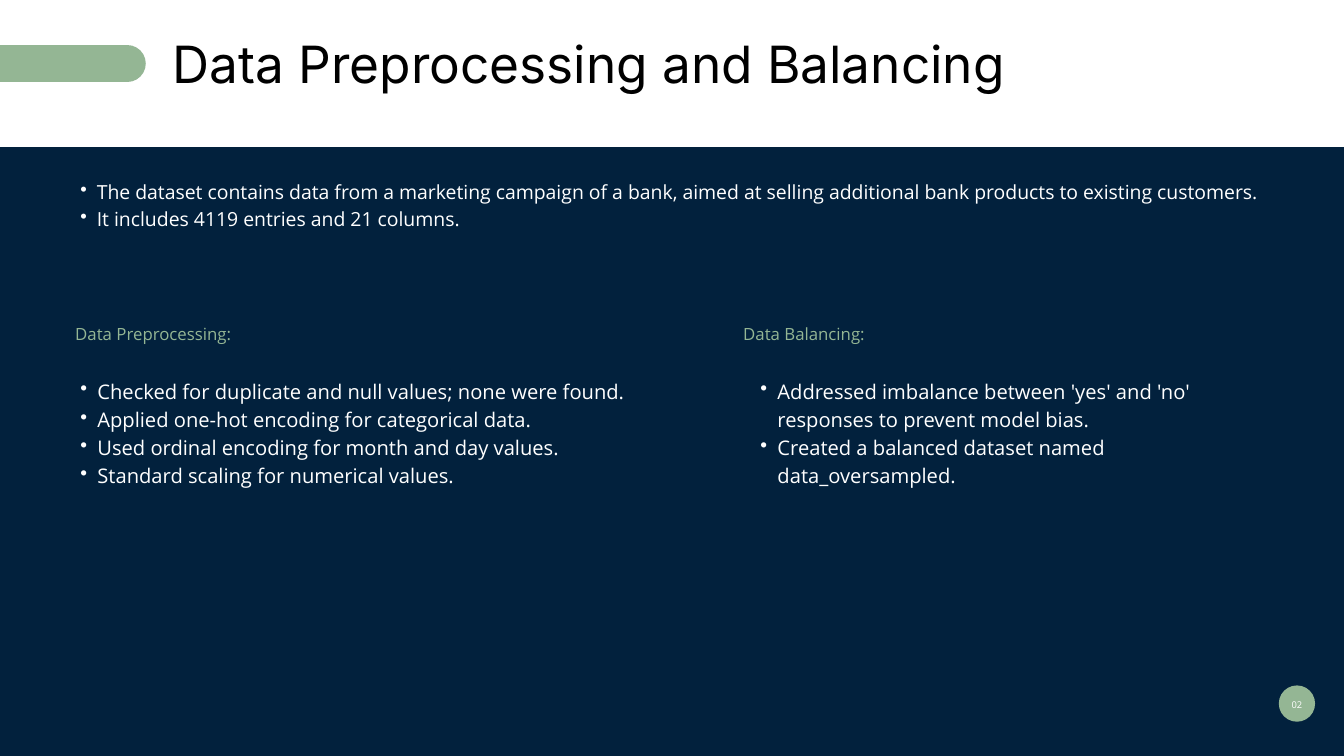
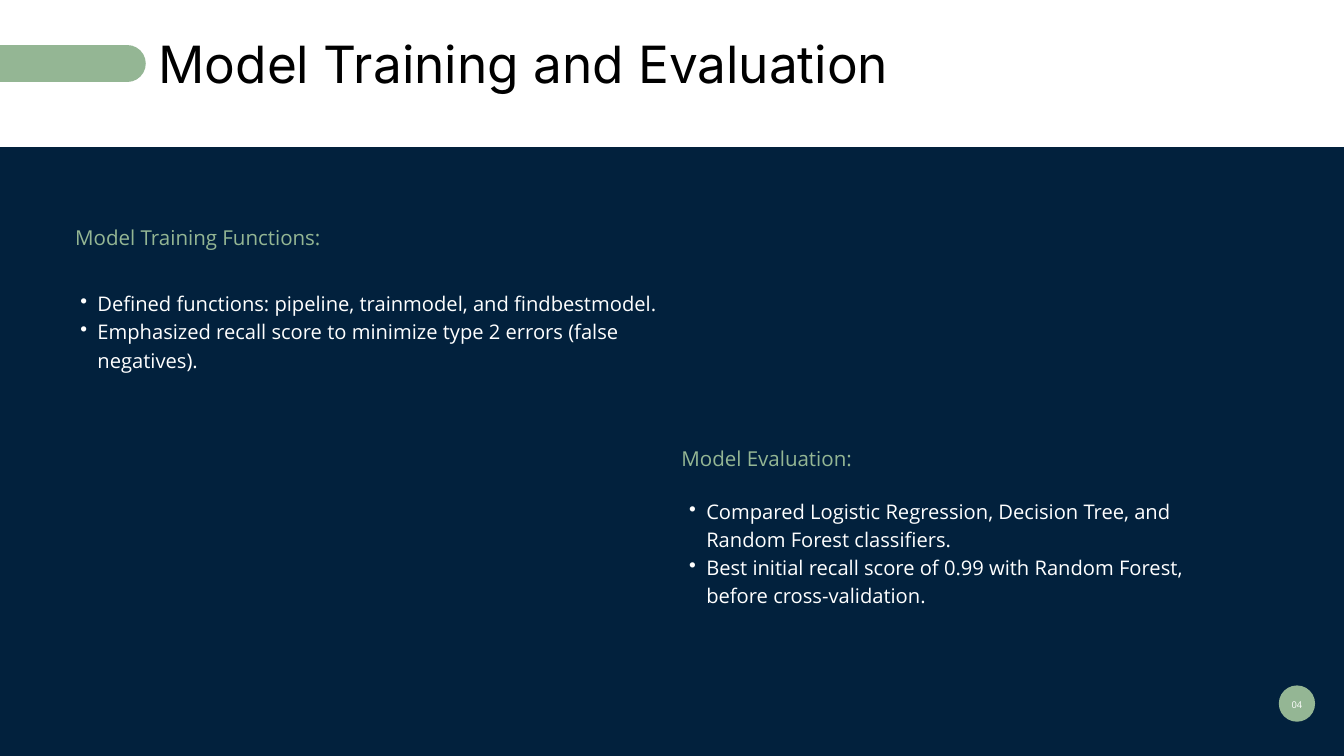
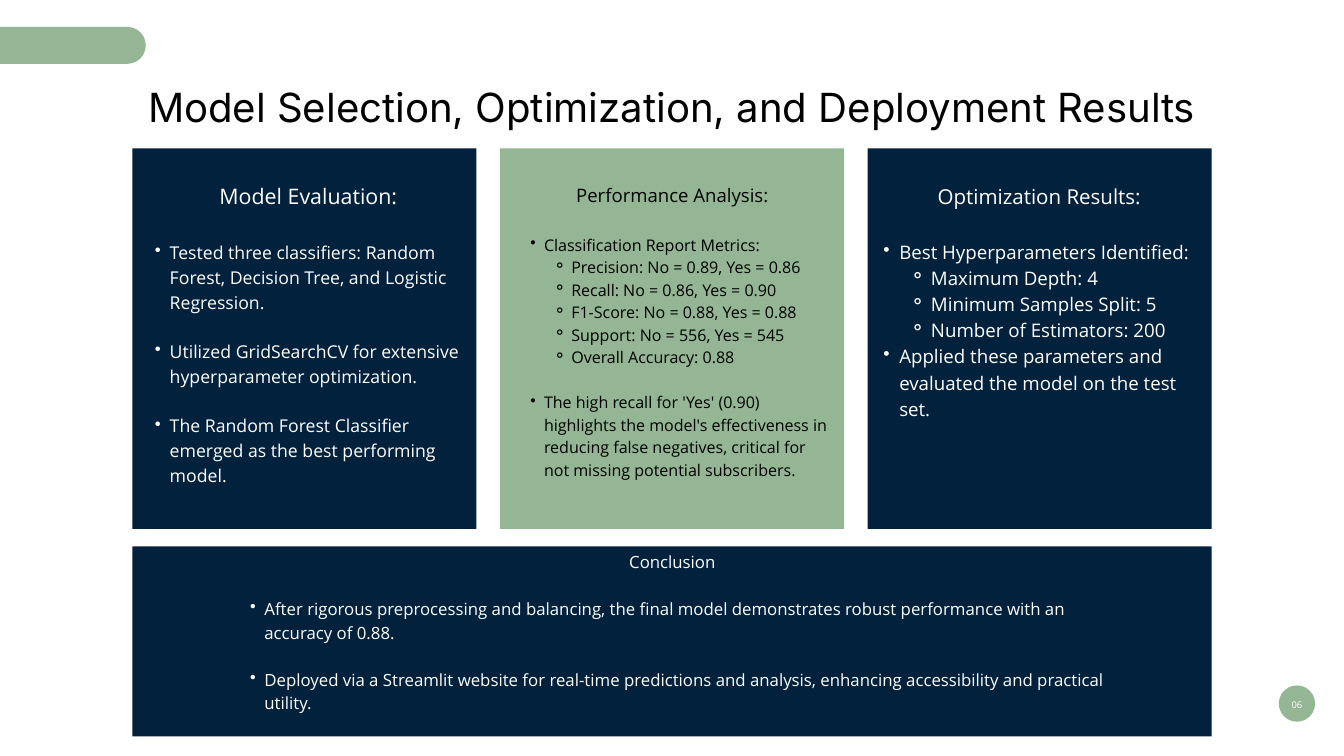
import collections

import lxml.etree
import pptx
import pptx.dml.color
import pptx.enum.shapes
import pptx.enum.text
import pptx.oxml.ns
import pptx.util

Inches = pptx.util.Inches
Pt = pptx.util.Pt
RGBColor = pptx.dml.color.RGBColor
SHAPES = pptx.enum.shapes.MSO_SHAPE
ALIGN = pptx.enum.text.PP_ALIGN
ANCHOR = pptx.enum.text.MSO_ANCHOR

NAVY = RGBColor(0x02, 0x21, 0x3D)
SAGE = RGBColor(0x94, 0xB6, 0x94)
WHITE = RGBColor(0xFF, 0xFF, 0xFF)
BLACK = RGBColor(0x00, 0x00, 0x00)

TITLE_FONT = "Inter"
BODY_FONT = "Open Sans"
TITLE_LEADING = 1.24
BODY_LEADING = 1.4
INDENT_PER_POINT = 0.0236
BULLETS = {1: "•", 2: "⚬"}

Item = collections.namedtuple("Item", "text level spaced", defaults=(1, False))
Card = collections.namedtuple("Card", "heading heading_size size fill color inset items")


def prepare_frame(shape, anchor=ANCHOR.TOP):
    """Give a shape's text frame wrapping, no margins and a fixed size."""
    frame = shape.text_frame
    frame.word_wrap = True
    frame.auto_size = pptx.enum.text.MSO_AUTO_SIZE.NONE
    frame.vertical_anchor = anchor
    frame.margin_left = frame.margin_top = frame.margin_right = frame.margin_bottom = 0
    return frame


def write_paragraph(para, text, size, color, align=ALIGN.LEFT, font=BODY_FONT,
                    leading=BODY_LEADING, gap=0):
    """Fill a paragraph with one formatted run."""
    para.alignment = align
    para.line_spacing = Pt(round(size * leading, 1))
    para.space_before = Pt(round(gap, 1))
    span = para.add_run()
    span.text = text
    span.font.name = font
    span.font.size = Pt(size)
    span.font.color.rgb = color


def add_bullet(para, level, size):
    """Hang a bullet on a paragraph, indented in proportion to its text."""
    indent = level * INDENT_PER_POINT * size
    properties = para._p.get_or_add_pPr()
    properties.set("marL", str(Inches(indent)))
    properties.set("indent", str(-Inches(indent / (level + 1))))
    bullet = lxml.etree.SubElement(properties, pptx.oxml.ns.qn("a:buChar"))
    bullet.set("char", BULLETS[level])
    para.level = level


def add_text(page, box, size, color, items=(), heading=None, heading_size=None,
             heading_align=ALIGN.LEFT):
    """Place a text box with an optional heading and a bulleted list."""
    frame = prepare_frame(page.shapes.add_textbox(*map(Inches, box)))
    para = frame.paragraphs[0]
    if heading:
        write_paragraph(para, heading, heading_size, color, heading_align)
    for index, item in enumerate(items):
        gap = size * BODY_LEADING if item.spaced else 0
        if heading:
            para = frame.add_paragraph()
            gap = heading_size * BODY_LEADING if index == 0 else gap
        elif index:
            para = frame.add_paragraph()
        write_paragraph(para, item.text, size, color, gap=gap)
        add_bullet(para, item.level, size)


def add_panel(page, box, fill, kind=SHAPES.RECTANGLE):
    """Place a flat filled shape without outline."""
    panel = page.shapes.add_shape(kind, *map(Inches, box))
    panel.shadow.inherit = False
    panel.fill.solid()
    panel.fill.fore_color.rgb = fill
    panel.line.fill.background()
    return panel


def start_page(deck, title, box, size, number, pill_top, align=ALIGN.LEFT):
    """Add a slide with its title, side pill and number badge."""
    page = deck.slides.add_slide(deck.slide_layouts[5])
    heading = page.shapes.title
    heading.left, heading.top, heading.width, heading.height = map(Inches, box)
    write_paragraph(prepare_frame(heading).paragraphs[0], title, size, BLACK, align,
                    TITLE_FONT, TITLE_LEADING)
    pill = add_panel(page, (-0.29, pill_top, 2.46, 0.55), SAGE, SHAPES.ROUNDED_RECTANGLE)
    pill.adjustments[0] = 0.5
    badge = add_panel(page, (19.03, 10.2, 0.54, 0.54), SAGE, SHAPES.OVAL)
    frame = prepare_frame(badge, ANCHOR.MIDDLE)
    write_paragraph(frame.paragraphs[0], number, 10, WHITE, ALIGN.CENTER)
    return page


def start_band_page(deck, title, title_left, number):
    """Add a slide whose body is a navy band, with the band behind the badge."""
    page = start_page(deck, title, (title_left, 0.45, 14.1, 0.95), 55, number, 0.67)
    band = add_panel(page, (0, 2.19, 20, 9.06), NAVY)
    page.shapes.title._element.addnext(band._element)
    return page


def add_section(page, left, top, heading, size, list_box, items):
    """Place a sage heading and its list, whose box is relative to the heading."""
    frame = prepare_frame(page.shapes.add_textbox(
        Inches(left), Inches(top), Inches(4.4), Inches(0.41)))
    write_paragraph(frame.paragraphs[0], heading, size, SAGE)
    offset_x, offset_y, width, height = list_box
    add_text(page, (left + offset_x, top + offset_y, width, height), 21.6, WHITE, items)


def add_card(page, box, card, text_height):
    """Place a filled card with centred heading and list inside it."""
    left, top, width, _ = box
    inset_x, inset_y, text_width = card.inset
    add_panel(page, box, card.fill)
    add_text(page, (left + inset_x, top + inset_y, text_width, text_height), card.size,
             card.color, card.items, card.heading, card.heading_size, ALIGN.CENTER)


def build_preprocessing(deck):
    """Build the slide on data preprocessing and balancing."""
    page = start_band_page(deck, "Data Preprocessing and Balancing", 2.57, "02")
    add_text(page, (0.95, 2.62, 18.1, 1.17), 20.8, WHITE, [
        Item("The dataset contains data from a marketing campaign of a bank, aimed at "
             "selling additional bank products to existing customers."),
        Item("It includes 4119 entries and 21 columns."),
    ])
    add_section(page, 1.12, 4.77, "Data Preprocessing:", 18, (-0.18, 0.81, 9.64, 2.02), [
        Item("Checked for duplicate and null values; none were found."),
        Item("Applied one-hot encoding for categorical data."),
        Item("Used ordinal encoding for month and day values."),
        Item("Standard scaling for numerical values."),
    ])
    add_section(page, 11.06, 4.77, "Data Balancing:", 18, (0, 0.81, 7.99, 2.06), [
        Item("Addressed imbalance between 'yes' and 'no' responses to prevent model bias."),
        Item("Created a balanced dataset named data_oversampled."),
    ])


def build_training(deck):
    """Build the slide on model training and evaluation."""
    page = start_band_page(deck, "Model Training and Evaluation", 2.36, "04")
    add_section(page, 1.12, 3.29, "Model Training Functions:", 22, (-0.18, 0.99, 9.64, 1.62), [
        Item("Defined functions: pipeline, trainmodel, and findbestmodel."),
        Item("Emphasized recall score to minimize type 2 errors (false negatives)."),
    ])
    add_section(page, 10.14, 6.58, "Model Evaluation:", 22, (-0.14, 0.79, 7.99, 2.06), [
        Item("Compared Logistic Regression, Decision Tree, and Random Forest classifiers."),
        Item("Best initial recall score of 0.99 with Random Forest, before cross-validation."),
    ])


def build_results(deck):
    """Build the slide of result cards and conclusion."""
    page = start_page(deck, "Model Selection, Optimization, and Deployment Results",
                      (1.02, 1.2, 17.95, 0.74), 43, "06", 0.4, ALIGN.CENTER)
    cards = [
        Card("Model Evaluation:", 22.9, 18.9, NAVY, WHITE, (0.11, 0.45, 5.02), [
            Item("Tested three classifiers: Random Forest, Decision Tree, and "
                 "Logistic Regression."),
            Item("Utilized GridSearchCV for extensive hyperparameter optimization.",
                 spaced=True),
            Item("The Random Forest Classifier emerged as the best performing model.",
                 spaced=True),
        ]),
        Card("Performance Analysis:", 19.9, 17.2, SAGE, BLACK, (0.25, 0.47, 4.63), [
            Item("Classification Report Metrics:"),
            Item("Precision: No = 0.89, Yes = 0.86", 2),
            Item("Recall: No = 0.86, Yes = 0.90", 2),
            Item("F1-Score: No = 0.88, Yes = 0.88", 2),
            Item("Support: No = 556, Yes = 545", 2),
            Item("Overall Accuracy: 0.88", 2),
            Item("The high recall for 'Yes' (0.90) highlights the model's effectiveness in "
                 "reducing false negatives, critical for not missing potential subscribers.",
                 spaced=True),
        ]),
        Card("Optimization Results:", 22, 20, NAVY, WHITE, (0, 0.46, 5.11), [
            Item("Best Hyperparameters Identified:"),
            Item("Maximum Depth: 4", 2),
            Item("Minimum Samples Split: 5", 2),
            Item("Number of Estimators: 200", 2),
            Item("Applied these parameters and evaluated the model on the test set."),
        ]),
    ]
    for column, card in enumerate(cards):
        add_card(page, (1.97 + column * 5.47, 2.21, 5.12, 5.66), card, 5.2)
    conclusion = Card("Conclusion", 18, 18, NAVY, WHITE, (1.54, 0.03, 12.99), [
        Item("After rigorous preprocessing and balancing, the final model demonstrates "
             "robust performance with an accuracy of 0.88."),
        Item("Deployed via a Streamlit website for real-time predictions and analysis, "
             "enhancing accessibility and practical utility.", spaced=True),
    ])
    add_card(page, (1.97, 8.13, 16.06, 2.83), conclusion, 2.74)


def main():
    """Build and save the deck."""
    deck = pptx.Presentation()
    deck.slide_width = Inches(20)
    deck.slide_height = Inches(11.25)
    build_preprocessing(deck)
    build_training(deck)
    build_results(deck)
    deck.save("out.pptx")


if __name__ == "__main__":
    main()
